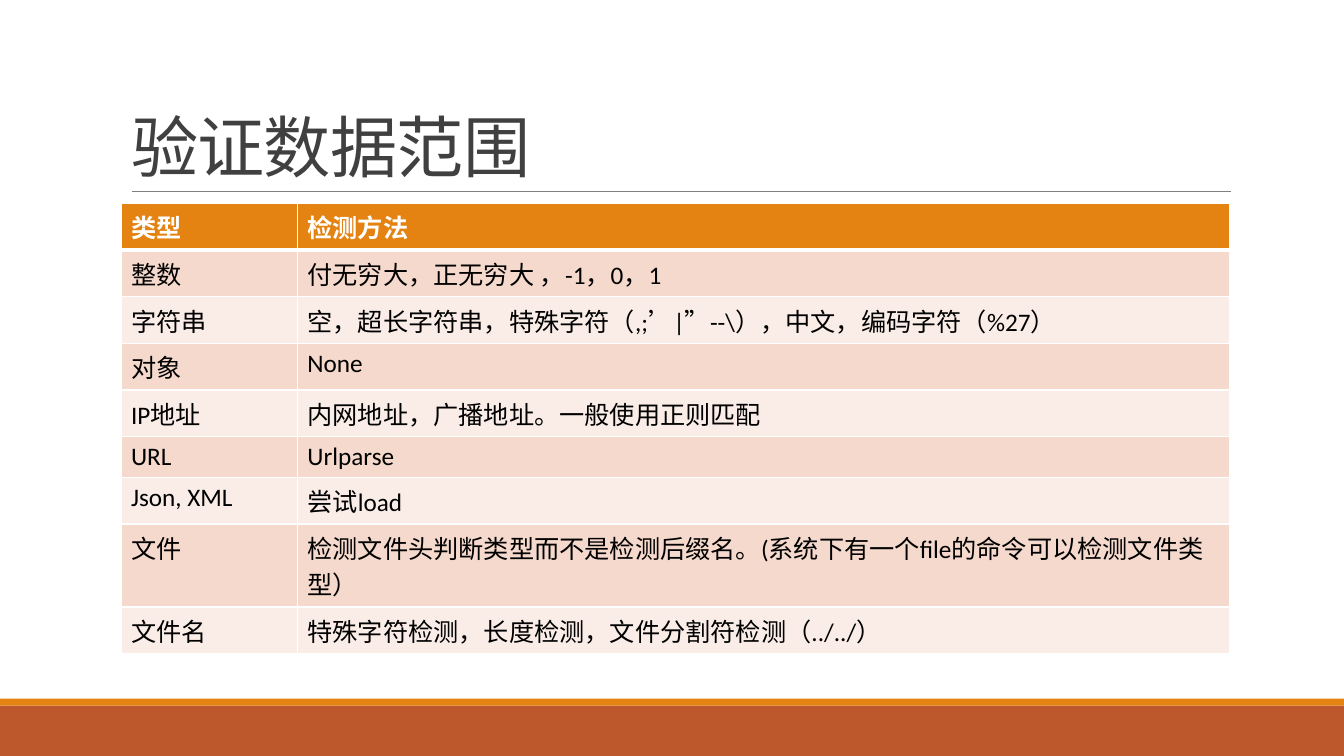
from dataclasses import dataclass
from typing import NamedTuple

from lxml import etree
from pptx import Presentation
from pptx.dml.color import RGBColor
from pptx.enum.lang import MSO_LANGUAGE_ID
from pptx.enum.shapes import MSO_CONNECTOR, MSO_SHAPE
from pptx.enum.text import MSO_ANCHOR, MSO_AUTO_SIZE, PP_ALIGN
from pptx.oxml.ns import qn
from pptx.slide import Slide
from pptx.table import _Cell
from pptx.text.text import TextFrame
from pptx.util import Pt

RECTANGLE = MSO_SHAPE.RECTANGLE
STRAIGHT = MSO_CONNECTOR.STRAIGHT
CHINESE = MSO_LANGUAGE_ID.SIMPLIFIED_CHINESE
BOTTOM = MSO_ANCHOR.BOTTOM
NO_AUTOFIT = MSO_AUTO_SIZE.NONE
LEFT = PP_ALIGN.LEFT
TITLE_ONLY_LAYOUT = 5


@dataclass(frozen=True)
class Theme:
    font: str = "Calibri"
    title_size: float = 48
    table_size: float = 18
    title_ink: str = "404040"
    ink: str = "000000"
    white: str = "FFFFFF"
    rule: str = "808080"
    accent: str = "E48312"
    footer: str = "BD582C"
    bands: tuple[str, str] = ("F5D9CC", "FAEDE7")


class Bar(NamedTuple):
    top: float
    height: float
    color: str


class Check(NamedTuple):
    kind: str
    method: str


THEME = Theme()
SLIDE_WIDTH, SLIDE_HEIGHT = 960, 540
CONTENT_LEFT, CONTENT_WIDTH = 86.4, 792
TABLE_TOP, ROW_HEIGHT = 145.4, 29.2
COLUMN_WIDTHS = (126, 666)
BORDER, HEADER_BORDER = 1, 3

FOOTER_BARS = (
    Bar(504, 36, THEME.footer),
    Bar(499, 5, THEME.accent),
)
CHECKS = (
    Check("类型", "检测方法"),
    Check("整数", "付无穷大，正无穷大 ，-1，0，1"),
    Check("字符串", "空，超长字符串，特殊字符（,;’|”--\\），中文，编码字符（%27）"),
    Check("对象", "None"),
    Check("IP地址", "内网地址，广播地址。一般使用正则匹配"),
    Check("URL", "Urlparse"),
    Check("Json, XML", "尝试load"),
    Check("文件", "检测文件头判断类型而不是检测后缀名。(系统下有一个file的命令可以检测文件类型）"),
    Check("文件名", "特殊字符检测，长度检测，文件分割符检测（../../）"),
)


def write_text(frame: TextFrame, text: str, *, size: float, color: str, bold: bool = False,
               line_spacing: float = 1.0, tracking: float = 0) -> None:
    para = frame.paragraphs[0]
    para.alignment = LEFT
    para.line_spacing = line_spacing
    span = para.add_run()
    span.text = text
    span.font.name = THEME.font
    span.font.size = Pt(size)
    span.font.bold = bold
    span.font.language_id = CHINESE
    span.font.color.rgb = RGBColor.from_string(color)
    if tracking:
        span.font._element.set("spc", str(round(tracking * 100)))


def add_bar(page: Slide, bar: Bar) -> None:
    box = page.shapes.add_shape(RECTANGLE, 0, Pt(bar.top), Pt(SLIDE_WIDTH), Pt(bar.height))
    box.shadow.inherit = False
    box.fill.solid()
    box.fill.fore_color.rgb = RGBColor.from_string(bar.color)
    box.line.fill.background()


def add_title_rule(page: Slide) -> None:
    rule = page.shapes.add_connector(STRAIGHT, Pt(94), Pt(136.8), Pt(879), Pt(136.8))
    rule.line.color.rgb = RGBColor.from_string(THEME.rule)
    rule.line.width = Pt(0.5)
    etree.SubElement(rule._element.spPr, qn("a:effectLst"))


def fill_title(page: Slide, text: str) -> None:
    title = page.shapes.title
    title.left, title.top = Pt(CONTENT_LEFT), Pt(22.5)
    title.width, title.height = Pt(CONTENT_WIDTH), Pt(114.3)
    frame = title.text_frame
    frame.word_wrap = True
    frame.auto_size = NO_AUTOFIT
    frame.vertical_anchor = BOTTOM
    write_text(frame, text, size=THEME.title_size, color=THEME.title_ink,
               line_spacing=0.85, tracking=-0.5)


def set_borders(cell: _Cell, *, top: float, bottom: float) -> None:
    properties = cell._tc.get_or_add_tcPr()
    for side, width in (("L", BORDER), ("R", BORDER), ("T", top), ("B", bottom)):
        line = etree.SubElement(properties, qn(f"a:ln{side}"), w=str(Pt(width)))
        paint = etree.SubElement(line, qn("a:solidFill"))
        etree.SubElement(paint, qn("a:srgbClr"), val=THEME.white)


def add_check_table(page: Slide) -> None:
    table = page.shapes.add_table(
        len(CHECKS), len(COLUMN_WIDTHS), Pt(CONTENT_LEFT), Pt(TABLE_TOP),
        Pt(CONTENT_WIDTH), Pt(ROW_HEIGHT * len(CHECKS))).table
    for column, width in zip(table.columns, COLUMN_WIDTHS):
        column.width = Pt(width)
    for index, check in enumerate(CHECKS):
        is_header = index == 0
        table.rows[index].height = Pt(ROW_HEIGHT)
        background = THEME.accent if is_header else THEME.bands[(index - 1) % 2]
        for cell, text in zip(table.rows[index].cells, check):
            set_borders(cell, top=HEADER_BORDER if index == 1 else BORDER,
                        bottom=HEADER_BORDER if is_header else BORDER)
            cell.fill.solid()
            cell.fill.fore_color.rgb = RGBColor.from_string(background)
            write_text(cell.text_frame, text, size=THEME.table_size, bold=is_header,
                       color=THEME.white if is_header else THEME.ink)


def main() -> None:
    deck = Presentation()
    deck.slide_width, deck.slide_height = Pt(SLIDE_WIDTH), Pt(SLIDE_HEIGHT)
    page = deck.slides.add_slide(deck.slide_layouts[TITLE_ONLY_LAYOUT])
    for bar in FOOTER_BARS:
        add_bar(page, bar)
    add_title_rule(page)
    fill_title(page, "验证数据范围")
    add_check_table(page)
    deck.save("out.pptx")


if __name__ == "__main__":
    main()
